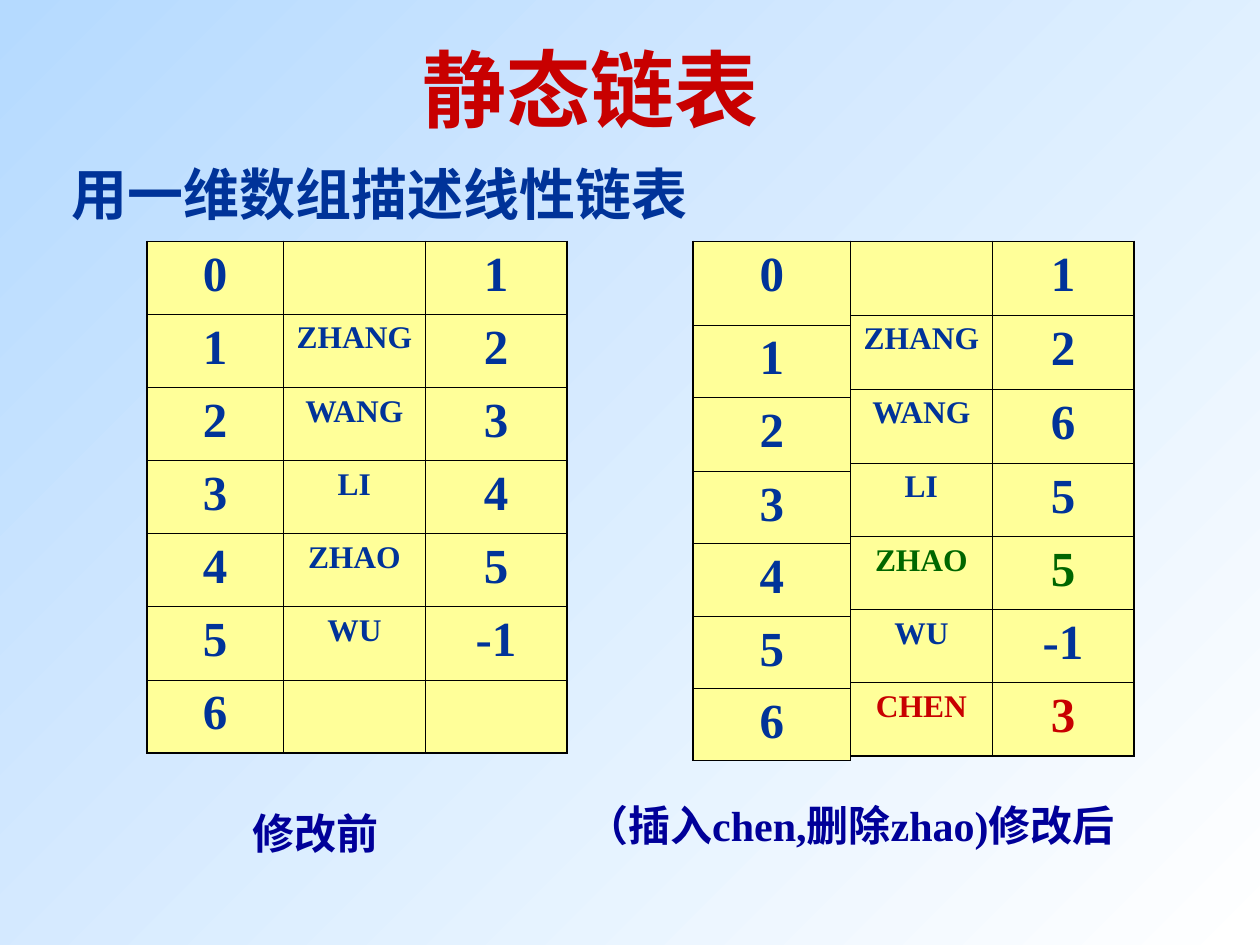
from lxml import etree
from pptx import Presentation
from pptx.dml.color import RGBColor
from pptx.enum.text import MSO_AUTO_SIZE, PP_ALIGN
from pptx.oxml.ns import qn
from pptx.util import Inches, Pt

CENTER = PP_ALIGN.CENTER
GROW = MSO_AUTO_SIZE.SHAPE_TO_FIT_TEXT
FONT = "Times New Roman"
COLORS = {
    "sky": "B5DAFF", "white": "FFFFFF", "cell": "FFFF99", "line": "000000",
    "text": "003399", "caption": "000099", "red": "C80000", "green": "006600",
}
THICK, THIN = 1.08, 0.45
NUMBER_SIZE, NAME_SIZE = 28, 18

# The slide is a grid of 120 columns by 90 rows
WIDTH, HEIGHT = Inches(10), Inches(7.5)
COLUMN, ROW = WIDTH / 120, HEIGHT / 90
TABLE_TOP = 23
NODE_WIDTHS = [13.5, 13.5]

BEFORE = [("", "1"), ("ZHANG", "2"), ("WANG", "3"), ("LI", "4"),
          ("ZHAO", "5"), ("WU", "-1"), ("", "")]
AFTER = [("", "1"), ("ZHANG", "2"), ("WANG", "6"), ("LI", "5"),
         ("ZHAO", "5"), ("WU", "-1"), ("CHEN", "3")]
EVEN_HEIGHTS = [6.96] * len(BEFORE)
NODE_HEIGHTS_AFTER = [7.05] * 3 + [6.96] * 4
INDEX_HEIGHTS_AFTER = [7.95, 6.9, 7.05, 6.9, 6.95, 6.85, 6.85]


def color(name):
    return RGBColor.from_string(COLORS[name])


def write(text_frame, text, size, color_name="text", space_before=0):
    paragraph = text_frame.paragraphs[0]
    paragraph.alignment = CENTER
    paragraph.space_before = Pt(space_before)
    font = paragraph.font
    if text:
        run = paragraph.add_run()
        run.text = text
        font = run.font
    font.name, font.size, font.bold = FONT, Pt(size), True
    font.color.rgb = color(color_name)


def add_label(slide, text, box, **text_format):
    left, top, width, height = box
    shape = slide.shapes.add_textbox(
        round(left * COLUMN), round(top * ROW),
        round(width * COLUMN), round(height * ROW))
    shape.text_frame.word_wrap = False
    shape.text_frame.auto_size = GROW
    write(shape.text_frame, text, **text_format)


def set_borders(cell, widths):
    properties = cell._tc.get_or_add_tcPr()
    for side, width in zip("LRTB", widths):
        line = etree.SubElement(properties, qn(f"a:ln{side}"), w=str(Pt(width)))
        fill = etree.SubElement(line, qn("a:solidFill"))
        etree.SubElement(fill, qn("a:srgbClr"), val=COLORS["line"])


def add_grid(slide, entries, left, column_widths, row_heights, highlights):
    """Place one block of cells; highlights maps a row to its text colour."""
    frame = slide.shapes.add_table(
        len(entries), len(column_widths),
        round(left * COLUMN), round(TABLE_TOP * ROW),
        round(sum(column_widths) * COLUMN), round(sum(row_heights) * ROW))
    table = frame.table
    table.first_row = table.horz_banding = False
    for column, width in zip(table.columns, column_widths):
        column.width = round(width * COLUMN)
    for row, height in zip(table.rows, row_heights):
        row.height = round(height * ROW)

    last_row, last_column = len(entries) - 1, len(column_widths) - 1
    for i, entry in enumerate(entries):
        for j, text in enumerate(entry):
            cell = table.cell(i, j)
            outer = (j == 0, j == last_column, i == 0, i == last_row)
            set_borders(cell, [THICK if edge else THIN for edge in outer])
            cell.fill.solid()
            cell.fill.fore_color.rgb = color("cell")
            is_name = last_column > 0 and j == 0
            size = NAME_SIZE if is_name else NUMBER_SIZE
            write(cell.text_frame, text, size, highlights.get(i, "text"),
                  space_before=size / 4)


def add_list(slide, nodes, left, index_width, node_heights, index_heights,
             highlights):
    """Place the node cells and, to their left, the array indices."""
    add_grid(slide, nodes, left + index_width, NODE_WIDTHS, node_heights,
             highlights)
    indices = [(str(i),) for i in range(len(nodes))]
    add_grid(slide, indices, left, [index_width], index_heights, {})


def add_background(slide):
    fill = slide.background.fill
    fill.gradient()
    fill.gradient_angle = 315
    for stop, name, position in zip(fill.gradient_stops, ("sky", "white"), (0, 1)):
        stop.color.rgb = color(name)
        stop.position = position


def main():
    presentation = Presentation()
    presentation.slide_width, presentation.slide_height = WIDTH, HEIGHT
    slide = presentation.slides.add_slide(presentation.slide_layouts[6])
    add_background(slide)

    # Array before and after the change
    add_list(slide, BEFORE, 14, 13, EVEN_HEIGHTS, EVEN_HEIGHTS, {})
    add_list(slide, AFTER, 66, 15, NODE_HEIGHTS_AFTER, INDEX_HEIGHTS_AFTER,
             {4: "green", 6: "red"})

    # Captions, in boxes a little wider than their text
    add_label(slide, "修改前", (22, 76.3, 16, 6), size=24, color_name="caption")
    add_label(slide, "（插入chen,删除zhao)修改后", (51, 75.6, 60, 6),
              size=24, color_name="caption")

    # Headings
    add_label(slide, "用一维数组描述线性链表", (5.2, 14.6, 62, 7.7), size=32)
    add_label(slide, "静态链表", (38.25, 3, 36, 10.8), size=48, color_name="red")
    presentation.save("out.pptx")


if __name__ == "__main__":
    main()
